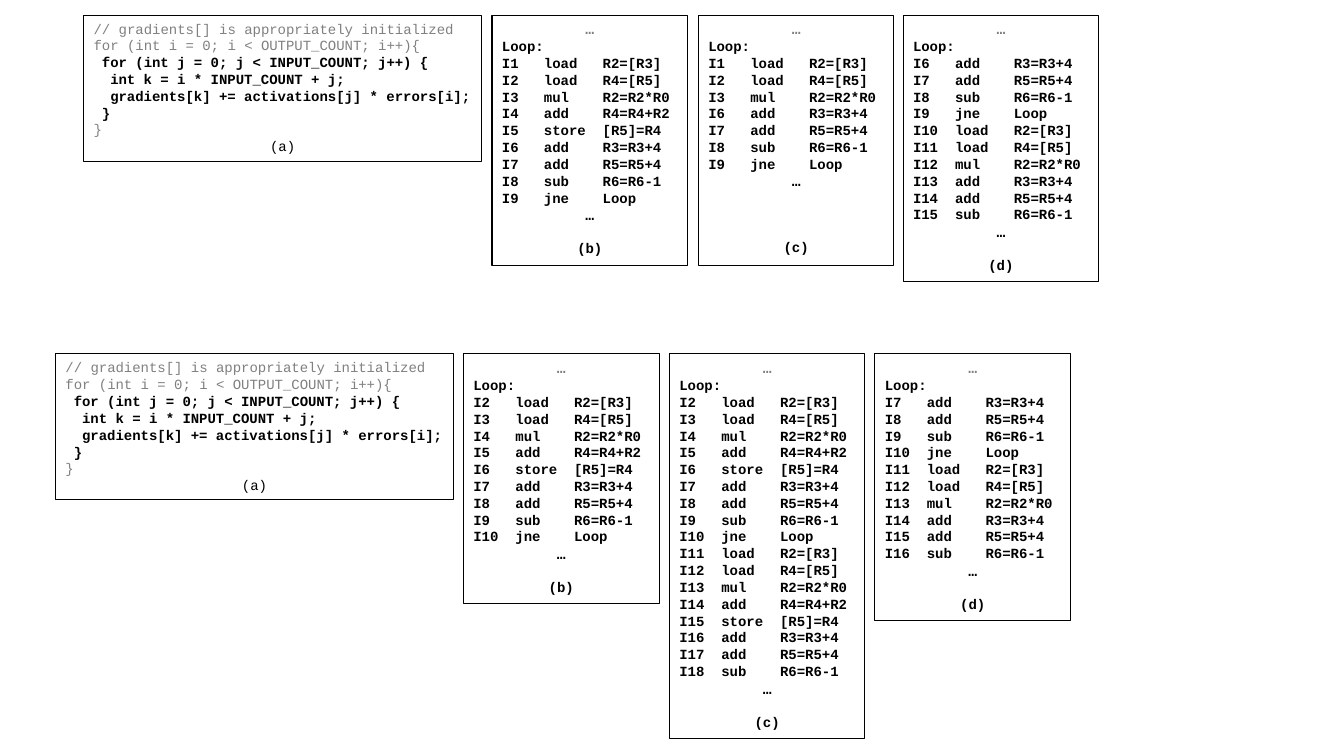
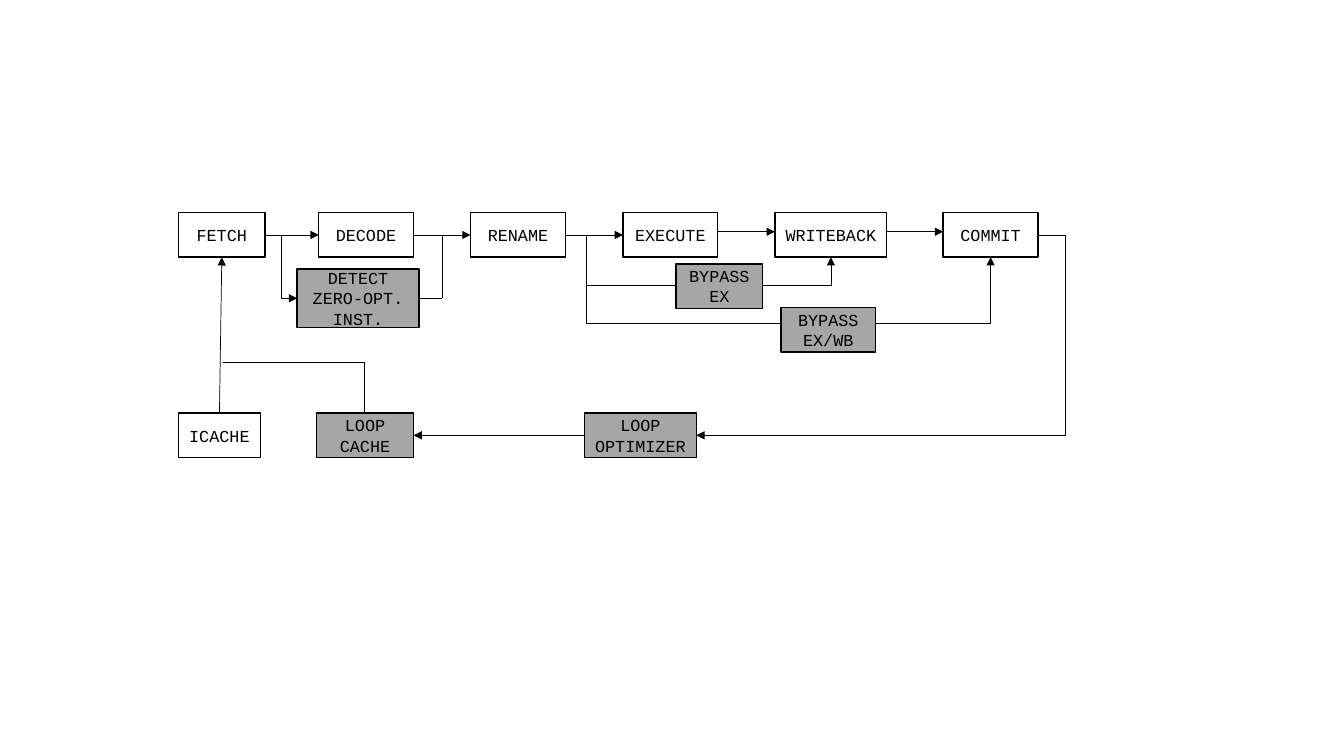
from dataclasses import dataclass

from lxml import etree
from pptx import Presentation
from pptx.dml.color import RGBColor
from pptx.enum.shapes import MSO_CONNECTOR, MSO_SHAPE
from pptx.enum.text import MSO_ANCHOR, MSO_AUTO_SIZE, PP_ALIGN
from pptx.oxml.ns import qn
from pptx.util import Cm, Pt

RECTANGLE = MSO_SHAPE.RECTANGLE
STRAIGHT, ELBOW = MSO_CONNECTOR.STRAIGHT, MSO_CONNECTOR.ELBOW
LEFT, CENTER = PP_ALIGN.LEFT, PP_ALIGN.CENTER
TOP_ANCHOR, MIDDLE_ANCHOR = MSO_ANCHOR.TOP, MSO_ANCHOR.MIDDLE
FIT_SHAPE, NO_FIT = MSO_AUTO_SIZE.SHAPE_TO_FIT_TEXT, MSO_AUTO_SIZE.NONE
SITE_TOP, SITE_LEFT, SITE_BOTTOM, SITE_RIGHT = range(4)


@dataclass(frozen=True)
class Theme:
    font: str = "Courier New"
    ink: RGBColor = RGBColor(0, 0, 0)
    muted: RGBColor = RGBColor(0x80, 0x80, 0x80)
    added: RGBColor = RGBColor(0xA6, 0xA6, 0xA6)
    code: Pt = Pt(10)
    ellipsis: Pt = Pt(10.5)
    stage: Pt = Pt(12)
    panel_line: Pt = Pt(0.75)
    stage_line: Pt = Pt(1)
    wire_line: Pt = Pt(0.5)
    code_indent: Cm = Cm(0.21)
    code_columns: tuple = (Cm(1.06), Cm(2.54))
    caption_gap: Pt = Pt(11.5)


THEME = Theme()

SOURCE = [
    ("// gradients[] is appropriately initialized", 0, False),
    ("for (int i = 0; i < OUTPUT_COUNT; i++){", 0, False),
    ("for (int j = 0; j < INPUT_COUNT; j++) {", 1, True),
    ("int k = i * INPUT_COUNT + j;", 2, True),
    ("gradients[k] += activations[j] * errors[i];", 2, True),
    ("}", 1, True),
    ("}", 0, False),
]

BODY = [
    ("load", "R2=[R3]"),
    ("load", "R4=[R5]"),
    ("mul", "R2=R2*R0"),
    ("add", "R4=R4+R2"),
    ("store", "[R5]=R4"),
    ("add", "R3=R3+4"),
    ("add", "R5=R5+4"),
    ("sub", "R6=R6-1"),
    ("jne", "Loop"),
]
REDUCED = BODY[:3] + BODY[5:]
ROTATED = BODY[5:] + REDUCED[:6]
UNROLLED = BODY + BODY[:8]

PANEL_WIDTH = 4.93
STAGE_TOP, LOOP_TOP, STAGE_HEIGHT = 5.36, 10.41, 1.12
STAGES = [
    ("FETCH", 4.5, STAGE_TOP, 2.18, STAGE_HEIGHT, False),
    ("DECODE", 8.03, STAGE_TOP, 2.39, STAGE_HEIGHT, False),
    ("RENAME", 11.86, STAGE_TOP, 2.39, STAGE_HEIGHT, False),
    ("EXECUTE", 15.7, STAGE_TOP, 2.39, STAGE_HEIGHT, False),
    ("WRITEBACK", 19.53, STAGE_TOP, 2.82, STAGE_HEIGHT, False),
    ("COMMIT", 23.77, STAGE_TOP, 2.39, STAGE_HEIGHT, False),
    ("DETECT ZERO-OPT.\nINST.", 7.49, 6.78, 3.07, 1.47, True),
    ("ICACHE", 4.5, LOOP_TOP, 2.06, STAGE_HEIGHT, False),
    ("LOOP CACHE", 7.98, LOOP_TOP, 2.44, STAGE_HEIGHT, True),
    ("LOOP OPTIMIZER", 14.73, LOOP_TOP, 2.82, STAGE_HEIGHT, True),
]
BYPASSES = [
    ("BYPASS EX", 17.04, 6.65, 2.18, STAGE_HEIGHT, True),
    ("BYPASS\nEX/WB", 19.68, 7.75, 2.39, STAGE_HEIGHT, True),
]
LINKS = [
    ("FETCH", SITE_RIGHT, "DECODE", SITE_LEFT),
    ("DECODE", SITE_RIGHT, "RENAME", SITE_LEFT),
    ("RENAME", SITE_RIGHT, "EXECUTE", SITE_LEFT),
    ("ICACHE", SITE_TOP, "FETCH", SITE_BOTTOM),
    ("LOOP OPTIMIZER", SITE_LEFT, "LOOP CACHE", SITE_RIGHT),
]
DETOURS = [
    ("FETCH", SITE_RIGHT, "DETECT ZERO-OPT.\nINST.", SITE_LEFT, (0.5,)),
    ("RENAME", SITE_RIGHT, "WRITEBACK", SITE_BOTTOM, (0.08, 2.29)),
    ("RENAME", SITE_RIGHT, "COMMIT", SITE_BOTTOM, (0.05, 3.97)),
    ("COMMIT", SITE_RIGHT, "LOOP OPTIMIZER", SITE_RIGHT, (-0.08,)),
]
HANDOFFS = [(18.09, 5.84, 19.53, 5.84), (22.35, 5.84, 23.77, 5.84)]
BRANCHES = [
    (10.57, 7.52, 11.15, 7.52),
    (11.15, 7.52, 11.15, 5.92),
    (9.19, LOOP_TOP, 9.19, 9.12),
    (9.19, 9.12, 5.61, 9.12),
]


def apply(target, values):
    for attribute, value in values.items():
        setattr(target, attribute, value)


def add_box(shapes, left, top, width, height, line_width, fill=None):
    box = shapes.add_shape(RECTANGLE, Cm(left), Cm(top), Cm(width), Cm(height))
    box.shadow.inherit = False
    if fill is None:
        box.fill.background()
    else:
        box.fill.solid()
        box.fill.fore_color.rgb = fill
    box.line.color.rgb = THEME.ink
    box.line.width = line_width
    return box


def write(paragraph, text, size, color=THEME.ink, bold=False, align=LEFT):
    paragraph.alignment = align
    run = paragraph.add_run()
    run.text = text
    apply(run.font, {"name": THEME.font, "size": size, "bold": bold})
    run.font.color.rgb = color


def set_columns(paragraph):
    tabs = etree.SubElement(paragraph._p.get_or_add_pPr(), qn("a:tabLst"))
    for position in THEME.code_columns:
        etree.SubElement(tabs, qn("a:tab"), pos=str(int(position)), algn="l")


def start_panel(shapes, left, top, width, height):
    frame = add_box(shapes, left, top, width, height, THEME.panel_line).text_frame
    apply(frame, {"word_wrap": True, "auto_size": FIT_SHAPE, "vertical_anchor": TOP_ANCHOR})
    return frame


def add_source(shapes, left, top):
    frame = start_panel(shapes, left, top, 10.03, 3.68)
    line = frame.paragraphs[0]
    for code, depth, hot in SOURCE:
        write(line, code, THEME.code, THEME.ink if hot else THEME.muted, hot)
        line._p.get_or_add_pPr().set("marL", str(int(THEME.code_indent * depth)))
        line = frame.add_paragraph()
    write(line, "(a)", THEME.code, align=CENTER)


def add_assembly(shapes, left, top, height, caption, numbers, program, gap=THEME.caption_gap):
    frame = start_panel(shapes, left, top, PANEL_WIDTH, height)
    write(frame.paragraphs[0], "…", THEME.ellipsis, THEME.muted, True, CENTER)
    write(frame.add_paragraph(), "Loop:", THEME.code, bold=True)
    for number, (operation, operands) in zip(numbers, program):
        line = frame.add_paragraph()
        write(line, f"I{number}\t{operation}\t{operands}", THEME.code, bold=True)
        set_columns(line)
    write(frame.add_paragraph(), "…", THEME.ellipsis, bold=True, align=CENTER)
    label = frame.add_paragraph()
    write(label, caption, THEME.code, bold=True, align=CENTER)
    label.space_before = gap


def add_stage(shapes, name, left, top, width, height, added):
    fill = THEME.added if added else None
    frame = add_box(shapes, left, top, width, height, THEME.stage_line, fill).text_frame
    apply(frame, {"word_wrap": True, "auto_size": NO_FIT, "vertical_anchor": MIDDLE_ANCHOR})
    for index, words in enumerate(name.split("\n")):
        paragraph = frame.add_paragraph() if index else frame.paragraphs[0]
        write(paragraph, words, THEME.stage, align=CENTER)
    return frame._parent


def add_wire(shapes, ends=(0, 0, 0, 0), kind=STRAIGHT, arrow=True):
    wire = shapes.add_connector(kind, *(Cm(end) for end in ends))
    wire.line.color.rgb = THEME.ink
    wire.line.width = THEME.wire_line
    properties = wire.element.spPr
    if arrow:
        etree.SubElement(properties.find(qn("a:ln")), qn("a:tailEnd"), type="triangle")
    etree.SubElement(properties, qn("a:effectLst"))
    return wire


def link(shapes, stages, source, source_site, target, target_site, bends=()):
    wire = add_wire(shapes, kind=ELBOW if bends else STRAIGHT)
    wire.begin_connect(stages[source], source_site)
    wire.end_connect(stages[target], target_site)
    if bends:
        geometry = wire.element.spPr.find(qn("a:prstGeom"))
        geometry.set("prst", f"bentConnector{len(bends) + 2}")
        guides = geometry.find(qn("a:avLst"))
        for index, bend in enumerate(bends, 1):
            formula = f"val {round(bend * 100000)}"
            etree.SubElement(guides, qn("a:gd"), name=f"adj{index}", fmla=formula)


def build_listings(slide):
    top = 0.38
    shapes = slide.shapes
    add_source(shapes, 2.11, top)
    add_assembly(shapes, 17.6, top, 6.3, "(c)", [1, 2, 3, 6, 7, 8, 9], REDUCED,
                 THEME.caption_gap * 3)
    add_assembly(shapes, 12.4, top, 6.3, "(b)", range(1, 10), BODY)
    add_assembly(shapes, 22.76, top, 6.71, "(d)", range(6, 16), ROTATED)

    top = 8.92
    variant = shapes.add_group_shape().shapes
    add_assembly(variant, 11.68, top, 6.3, "(b)", range(2, 11), BODY)
    add_assembly(variant, 16.87, top, 9.7, "(c)", range(2, 19), UNROLLED)
    add_assembly(variant, 22.05, top, 6.71, "(d)", range(7, 17), ROTATED)
    add_source(variant, 1.4, top)


def build_pipeline(slide):
    shapes = slide.shapes.add_group_shape().shapes
    stages = {stage[0]: add_stage(shapes, *stage) for stage in STAGES}
    for route in LINKS + DETOURS:
        link(shapes, stages, *route)
    for ends in HANDOFFS:
        add_wire(shapes, ends)
    for ends in BRANCHES:
        add_wire(shapes, ends, arrow=False)
    for bypass in BYPASSES:
        add_stage(shapes, *bypass)


def main():
    deck = Presentation()
    apply(deck, {"slide_width": Cm(33.87), "slide_height": Cm(19.05)})
    blank = deck.slide_layouts[6]
    for build in (build_listings, build_pipeline):
        build(deck.slides.add_slide(blank))
    deck.save("out.pptx")


main()
